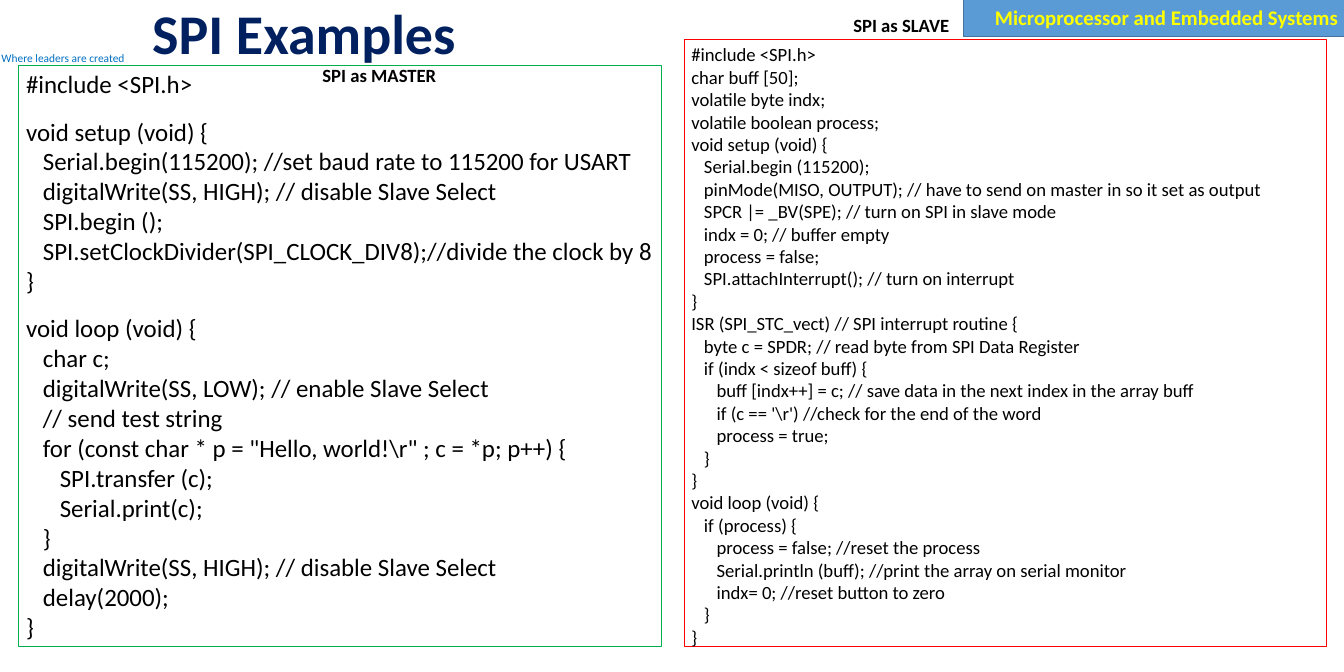
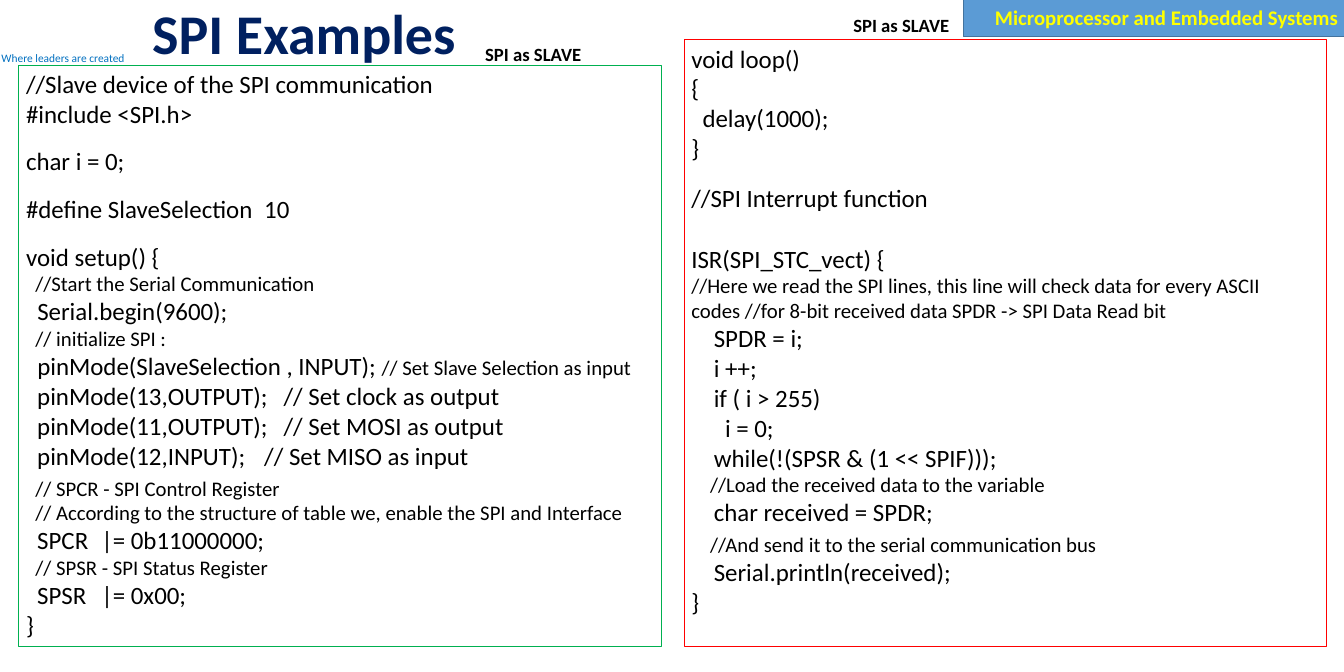
from lxml.etree import SubElement
from pptx import Presentation
from pptx.dml.color import RGBColor
from pptx.enum.shapes import MSO_SHAPE as Shape
from pptx.enum.text import MSO_ANCHOR as Anchor, PP_ALIGN as Align
from pptx.oxml.ns import qn
from pptx.util import Inches, Pt

FONT = "Calibri"
BLACK, NAVY, BLUE, YELLOW = "000000", "002060", "0070C0", "FFFF00"
BAND, EDGE, GREEN, RED = "5B9BD5", "43739E", "00B050", "FF0000"
LEFT = (0.25, 0.87, 8.61, 7.79)
RIGHT = (9.16, 0.53, 8.61, 8.13)
NOTE = 20
LINE = 1.22
SPACE = 0.226
STOPS = (0.15, 1.01, 3.19, 3.45)

MASTER = [
    "#include <SPI.h>",
    14,
    "void setup (void) {",
    "   Serial.begin(115200); //set baud rate to 115200 for USART",
    "   digitalWrite(SS, HIGH); // disable Slave Select",
    "   SPI.begin ();",
    "   SPI.setClockDivider(SPI_CLOCK_DIV8);//divide the clock by 8",
    "}",
    14,
    "void loop (void) {",
    "   char c;",
    "   digitalWrite(SS, LOW); // enable Slave Select",
    "   // send test string",
    "   for (const char * p = \"Hello, world!\\r\" ; c = *p; p++) {",
    "      SPI.transfer (c);",
    "      Serial.print(c);",
    "   }",
    "   digitalWrite(SS, HIGH); // disable Slave Select",
    "   delay(2000);",
    "}",
]

SLAVE = [
    "#include <SPI.h>",
    "char buff [50];",
    "volatile byte indx;",
    "volatile boolean process;",
    "void setup (void) {",
    "   Serial.begin (115200);",
    "   pinMode(MISO, OUTPUT); // have to send on master in so it set as output",
    "   SPCR |= _BV(SPE); // turn on SPI in slave mode",
    "   indx = 0; // buffer empty",
    "   process = false;",
    "   SPI.attachInterrupt(); // turn on interrupt",
    "}",
    "ISR (SPI_STC_vect) // SPI interrupt routine {",
    "   byte c = SPDR; // read byte from SPI Data Register",
    "   if (indx < sizeof buff) {",
    "      buff [indx++] = c; // save data in the next index in the array buff",
    "      if (c == '\\r') //check for the end of the word",
    "      process = true;",
    "   }",
    "}",
    "void loop (void) {",
    "   if (process) {",
    "      process = false; //reset the process",
    "      Serial.println (buff); //print the array on serial monitor",
    "      indx= 0; //reset button to zero",
    "   }",
    "}",
]

SETUP = [
    "//Slave device of the SPI communication",
    "#include <SPI.h>",
    14,
    "char i = 0;",
    14,
    "#define SlaveSelection\t10",
    14,
    "void setup() {",
    ("", "  //Start the Serial Communication"),
    "  Serial.begin(9600);",
    ("", "  // initialize SPI :"),
    ("  pinMode(SlaveSelection , INPUT); ", "// Set Slave Selection as input"),
    "\tpinMode(13,OUTPUT);\t// Set clock as output",
    "\tpinMode(11,OUTPUT);\t// Set MOSI as output",
    "\tpinMode(12,INPUT);\t// Set MISO as input",
    4,
    ("", "  // SPCR - SPI Control Register"),
    ("", "  // According to the structure of table we, enable the SPI and Interface"),
    "\tSPCR\t|= 0b11000000;",
    ("", "  // SPSR - SPI Status Register"),
    "\tSPSR\t|= 0x00;",
    "}",
]

LOOP = [
    "void loop()",
    "{",
    "  delay(1000);",
    "}",
    16,
    "//SPI Interrupt function",
    24,
    "ISR(SPI_STC_vect) {",
    ("", "//Here we read the SPI lines, this line will check data for every ASCII "
         "codes //for 8-bit received data SPDR -> SPI Data Read bit"),
    "    SPDR = i;",
    "    i ++;",
    "    if ( i > 255)",
    "      i = 0;",
    "    while(!(SPSR & (1 << SPIF)));",
    ("", "    //Load the received data to the variable"),
    "    char received = SPDR;",
    4,
    ("", "    //And send it to the serial communication bus"),
    "    Serial.println(received);",
    "}",
]


def tint(code):
    return RGBColor.from_string(code)


def style(font, size, color=BLACK, bold=False):
    font.name = FONT
    font.size = Pt(size)
    font.bold = bold
    font.color.rgb = tint(color)


def label(slide, box, text, size, color=BLACK, bold=True, wrap=False, inset=None):
    frame = slide.shapes.add_textbox(*map(Inches, box)).text_frame
    frame.word_wrap = wrap
    if inset is not None:
        frame.margin_left = frame.margin_right = Inches(inset)
        frame.margin_top = frame.margin_bottom = Inches(inset)
    para = frame.paragraphs[0]
    para.text = text
    style(para.font, size, color, bold)
    return frame


def panel(slide, box, edge, width, fill=None):
    rect = slide.shapes.add_shape(Shape.RECTANGLE, *map(Inches, box))
    rect.shadow.inherit = False
    if fill:
        rect.fill.solid()
        rect.fill.fore_color.rgb = tint(fill)
    else:
        rect.fill.background()
    rect.line.color.rgb = tint(edge)
    rect.line.width = Pt(width)
    frame = rect.text_frame
    frame.word_wrap = True
    return frame


def add_tabs(para):
    tabs = SubElement(para._p.get_or_add_pPr(), qn("a:tabLst"))
    for stop in STOPS:
        SubElement(tabs, qn("a:tab"), pos=str(Inches(stop)), algn="l")


def write(para, parts, size, gap):
    big, small = parts
    lead = big or small
    main = size if big else NOTE
    depth = len(lead) - len(lead.lstrip(" "))
    para.alignment = Align.LEFT
    para.space_before = Pt(gap * LINE)
    if depth:
        para._p.get_or_add_pPr().set("marL", str(Pt(depth * SPACE * main)))
    if "\t" in lead:
        add_tabs(para)
    style(para.font, main)
    para.add_run().text = lead.lstrip(" ")
    if big and small:
        run = para.add_run()
        run.text = small
        run.font.size = Pt(NOTE)


def code(slide, box, edge, lines, size=24):
    frame = panel(slide, box, edge, 0.75)
    frame.vertical_anchor = Anchor.TOP
    para, gap = frame.paragraphs[0], 0
    for item in lines:
        if isinstance(item, int):
            gap = item
            continue
        para = para or frame.add_paragraph()
        write(para, (item, "") if isinstance(item, str) else item, size, gap)
        para, gap = None, 0


def base(deck):
    slide = deck.slides.add_slide(deck.slide_layouts[6])
    band = panel(slide, (12.9, -0.02, 5.12, 0.51), EDGE, 1, BAND)
    band.vertical_anchor = Anchor.MIDDLE
    para = band.paragraphs[0]
    para.text = "Microprocessor and Embedded Systems"
    para.alignment = Align.RIGHT
    style(para.font, 20, YELLOW, True)
    label(slide, (0.02, 0.68, 1.67, 0.19), "Where leaders are created", 11, BLUE,
          bold=False, inset=0)
    title = label(slide, (1.94, 0.13, 10.89, 0.71), "SPI Examples", 54, NAVY, wrap=True)
    title.vertical_anchor = Anchor.MIDDLE
    title.paragraphs[0].line_spacing = 0.9
    return slide


def build(deck, head, spot, first, second, size):
    slide = base(deck)
    code(slide, LEFT, GREEN, first)
    label(slide, spot, head, 18)
    label(slide, (11.33, 0.13, 1.5, 0.4), "SPI as SLAVE", 18)
    code(slide, RIGHT, RED, second, size)


def main():
    deck = Presentation()
    deck.slide_width, deck.slide_height = Inches(18), Inches(9)
    build(deck, "SPI as MASTER", (4.22, 0.8, 1.74, 0.4), MASTER, SLAVE, 18)
    build(deck, "SPI as SLAVE", (6.4, 0.53, 1.5, 0.4), SETUP, LOOP, 24)
    deck.save("out.pptx")


if __name__ == "__main__":
    main()
